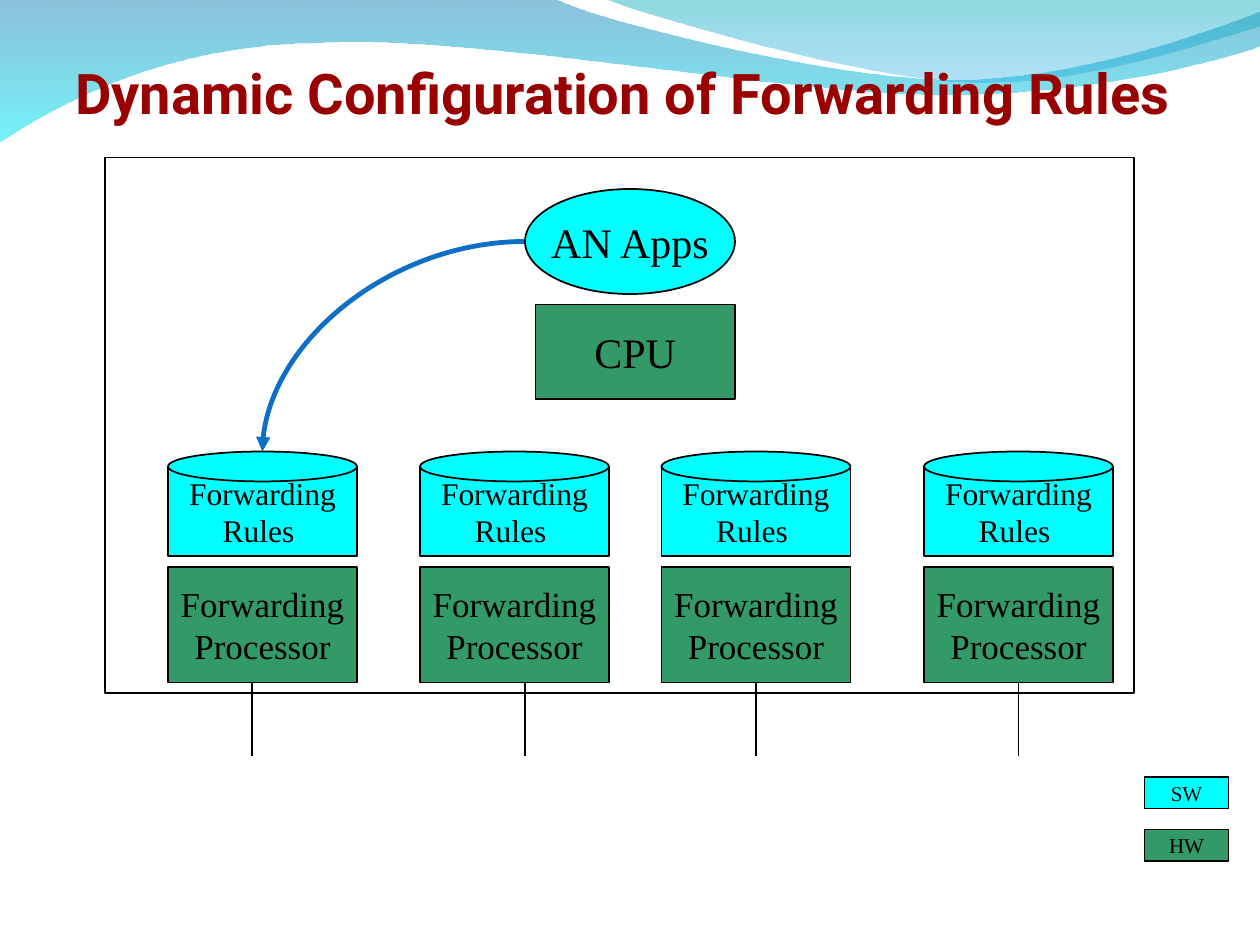
from dataclasses import dataclass

from lxml.etree import SubElement
from pptx import Presentation
from pptx.dml.color import RGBColor as Color
from pptx.enum.shapes import MSO_CONNECTOR as Link, MSO_SHAPE as Shape
from pptx.enum.text import MSO_ANCHOR as Anchor, PP_ALIGN as Align
from pptx.oxml.ns import qn
from pptx.util import Inches, Pt


@dataclass(frozen=True)
class Theme:
    software: str = "00FFFF"
    hardware: str = "339966"
    ink: str = "000000"
    title: str = "990000"
    arrow: str = "0F6FC6"
    title_font: str = "Roboto"
    body_font: str = "Times New Roman"
    title_size: int = 32
    large: int = 24
    processor: int = 20
    rules: int = 18
    legend: int = 12
    thin: float = 0.75
    line: float = 1
    thick: float = 2.75


THEME = Theme()
COLUMNS, ROWS = 120, 90
UNIT = Inches(10) // COLUMNS
PORTS = {16: 24, 40: 50, 63: 72, 88: 97}
WAVES = [
    (
        (0, -0.01),
        [
            [(4.4, -0.01)],
            [(4.76, 0.17), (6.64, 0.63), (7.58, 0.63)],
            [(8.53, 0.63), (9.58, 0.26), (10, 0.09)],
            [(10.01, 0.36)],
            [(9.83, 0.44), (8.7, 0.76), (7.46, 0.75)],
            [(6.22, 0.75), (3.82, 0.28), (2.57, 0.34)],
            [(1.29, 0.35), (0.46, 0.83), (-0.01, 1.13)],
        ],
        [("0079AF", 45), ("00EBF8", 55)],
    ),
    (
        (4.79, -0.01),
        [
            [(5.09, 0.11), (6.82, 0.62), (7.69, 0.65)],
            [(8.56, 0.69), (9.61, 0.32), (10, 0.21)],
            [(10, 0)],
        ],
        [("00ADB6", 45), ("009BE5", 30)],
    ),
]


def grid(*cells):
    return [round(cell * UNIT) for cell in cells]


def apply(target, values):
    for name, value in values.items():
        setattr(target, name, value)


def write(box, lines, size, font=THEME.body_font, color=THEME.ink, bold=False, spacing=None):
    frame = box.text_frame
    for index, line in enumerate(lines):
        para = frame.paragraphs[0] if index == 0 else frame.add_paragraph()
        apply(para, {"alignment": Align.CENTER, "line_spacing": spacing})
        span = para.add_run()
        span.text = line
        apply(span.font, {"name": font, "size": Pt(size), "bold": bold})
        span.font.color.rgb = Color.from_string(color)


def add_block(shapes, kind, cells, fill=None, lines=(), size=THEME.large, width=THEME.thin):
    box = shapes.add_shape(kind, *grid(*cells))
    box.shadow.inherit = False
    if fill:
        box.fill.solid()
        box.fill.fore_color.rgb = Color.from_string(fill)
    else:
        box.fill.background()
    box.line.color.rgb = Color.from_string(THEME.ink)
    box.line.width = Pt(width)
    apply(box.text_frame, {"word_wrap": False, "vertical_anchor": Anchor.MIDDLE})
    write(box, lines, size)


def add_link(page, kind, cells, color=THEME.ink, width=THEME.line):
    link = page.shapes.add_connector(kind, *grid(*cells))
    link.line.color.rgb = Color.from_string(color)
    link.line.width = Pt(width)
    SubElement(link._element.spPr, qn("a:effectLst"))
    return link


def add_curved_arrow(page, cells):
    link = add_link(page, Link.CURVE, cells, THEME.arrow, THEME.thick)
    link._element.spPr.find(qn("a:prstGeom")).set("prst", "curvedConnector2")
    SubElement(link.line._get_or_add_ln(), qn("a:tailEnd"), type="triangle")


def bend(wave, segments):
    nodes = iter(list(wave._element.iter(qn("a:lnTo"))))
    for segment in segments:
        curve, *rest = [next(nodes) for _ in segment]
        if rest:
            curve.tag = qn("a:cubicBezTo")
        for node in rest:
            curve.append(node[0])
            node.getparent().remove(node)


def add_wave(page, start, segments, stops):
    outline = [start] + [point for segment in segments for point in segment]
    points = [(round(x * 100), round(y * 100)) for x, y in outline]
    builder = page.shapes.build_freeform(*points[0], scale=Inches(1) / 100)
    builder.add_line_segments(points[1:], close=True)
    wave = builder.convert_to_shape()
    bend(wave, segments)
    wave.shadow.inherit = False
    wave.line.fill.background()
    wave.fill.gradient()
    wave.fill.gradient_angle = 270
    for position, (stop, (color, opacity)) in enumerate(zip(wave.fill.gradient_stops, stops)):
        stop.position = position
        stop.color.rgb = Color.from_string(color)
        for node in stop._gs.iter(qn("a:srgbClr")):
            SubElement(node, qn("a:alpha"), val=str(opacity * 1000))


def add_title(page, text):
    box = page.shapes.add_textbox(*grid(0, 4, COLUMNS, 8.7))
    inset = Inches(0.05)
    apply(box.text_frame, {
        "word_wrap": True, "vertical_anchor": Anchor.BOTTOM,
        "margin_left": inset, "margin_right": inset,
        "margin_top": inset, "margin_bottom": inset,
    })
    write(box, [text], THEME.title_size, THEME.title_font, THEME.title, True, 0.93)


def add_rule_store(page, column):
    shapes = page.shapes.add_group_shape().shapes
    add_block(shapes, Shape.RECTANGLE, (column, 44.45, 18, 8.5), THEME.software,
              ["Forwarding", "Rules "], THEME.rules, THEME.line)
    add_block(shapes, Shape.OVAL, (column, 43, 18, 2.85), THEME.software, width=THEME.line)


def main():
    deck = Presentation()
    apply(deck, {"slide_width": COLUMNS * UNIT, "slide_height": ROWS * UNIT})
    page = deck.slides.add_slide(deck.slide_layouts[6])
    shapes = page.shapes
    for wave in WAVES:
        add_wave(page, *wave)
    add_title(page, "Dynamic Configuration of Forwarding Rules ")
    add_block(shapes, Shape.RECTANGLE, (51, 29, 19, 9), THEME.hardware, ["CPU"])
    for column in PORTS:
        add_block(shapes, Shape.RECTANGLE, (column, 54, 18, 11), THEME.hardware,
                  ["Forwarding", "Processor"], THEME.processor)
    for port in PORTS.values():
        add_link(page, Link.STRAIGHT, (port, 65, port, 72))
    add_block(shapes, Shape.RECTANGLE, (10, 15, 98, 51))
    for column in PORTS:
        add_rule_store(page, column)
    add_curved_arrow(page, (50, 23, 25, 43))
    add_block(shapes, Shape.RECTANGLE, (109, 74, 8, 3), THEME.software, ["SW"], THEME.legend, THEME.line)
    add_block(shapes, Shape.RECTANGLE, (109, 79, 8, 3), THEME.hardware, ["HW"], THEME.legend)
    add_block(shapes, Shape.OVAL, (50, 18, 20, 10), THEME.software, ["AN Apps"], width=THEME.line)
    deck.save("out.pptx")


if __name__ == "__main__":
    main()
